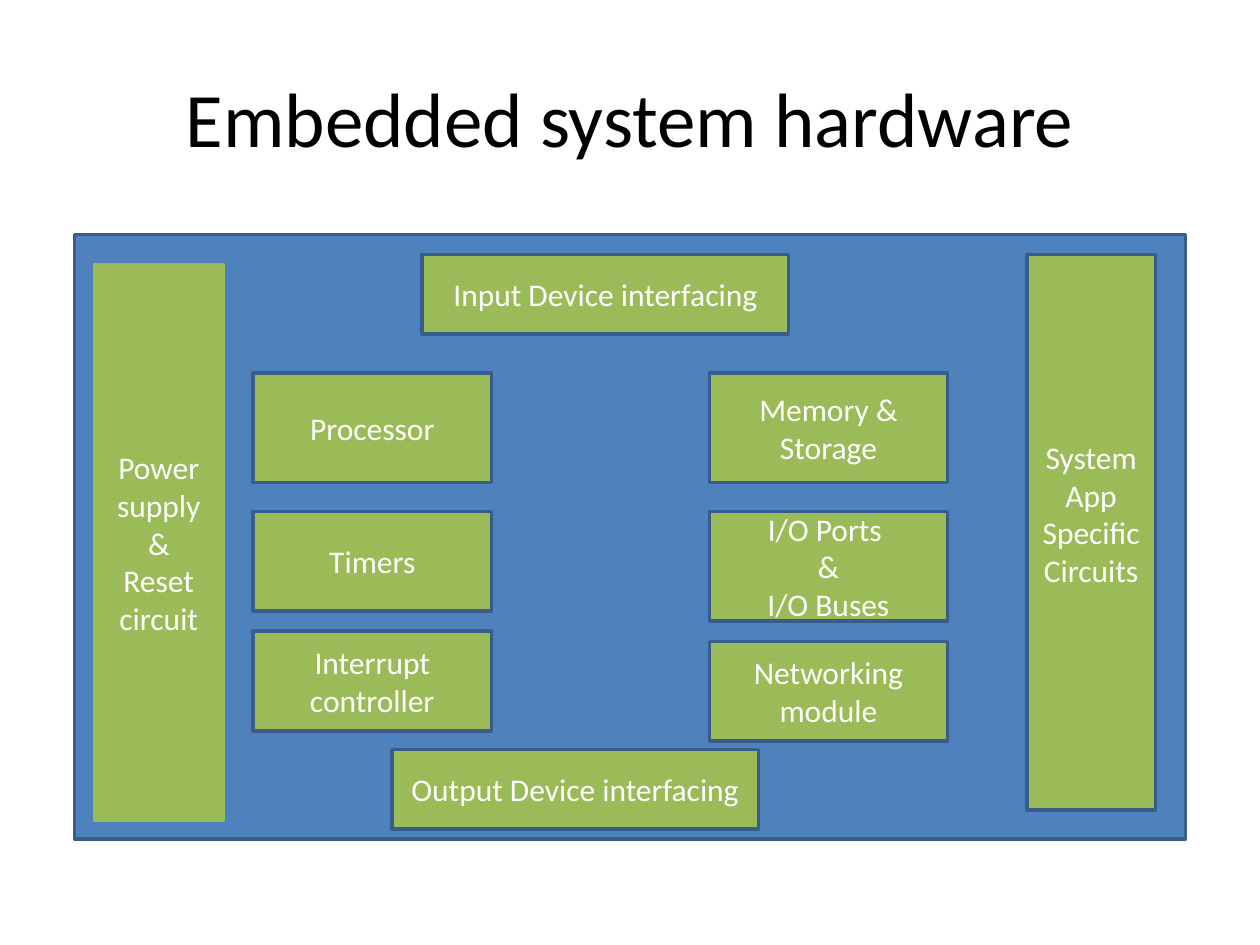
from pptx import Presentation
from pptx import util as u
from pptx.dml.color import RGBColor
from pptx.enum import shapes, text

BLUE, NAVY, GREEN = "4F81BD", "385D8A", "9BBB59"
WHITE, BLACK = "FFFFFF", "000000"


def color(value):
    return RGBColor.from_string(value)


class Diagram:
    """Style and current slide of the block diagram."""

    font_name = "Calibri"
    line_width = u.Pt(2)
    insets = {"margin_left": 0.1, "margin_top": 0.05,
              "margin_right": 0.1, "margin_bottom": 0.05}

    def __init__(self, deck):
        self.slide = deck.slides.add_slide(deck.slide_layouts[5])

    def label(self, shape, lines, size, ink, insets):
        frame = shape.text_frame
        values = {"word_wrap": True, "auto_size": text.MSO_AUTO_SIZE.NONE,
                  "vertical_anchor": text.MSO_ANCHOR.MIDDLE}
        values.update({side: u.Inches(gap) for side, gap in insets.items()})
        for name, value in values.items():
            setattr(frame, name, value)
        frame.text = "\n".join(lines)
        for para in frame.paragraphs:
            para.alignment = text.PP_ALIGN.CENTER
            for name, value in {"name": self.font_name, "size": u.Pt(size)}.items():
                setattr(para.font, name, value)
            para.font.color.rgb = color(ink)

    def title(self, caption, area):
        title = self.slide.shapes.title
        for name, value in zip(("left", "top", "width", "height"), area):
            setattr(title, name, u.Inches(value))
        self.label(title, [caption], 44, BLACK, self.insets)

    def box(self, area, lines=(), fill=GREEN, line=NAVY, **insets):
        box = self.slide.shapes.add_shape(
            shapes.MSO_SHAPE.RECTANGLE, *map(u.Inches, area))
        box.shadow.inherit = False
        box.fill.solid()
        box.fill.fore_color.rgb = color(fill)
        box.line.color.rgb = color(line)
        box.line.width = self.line_width
        if lines:
            self.label(box, lines, 18, WHITE, {**self.insets, **insets})


def main():
    deck = Presentation()
    deck.slide_width, deck.slide_height = u.Inches(10), u.Inches(7.5)
    diagram = Diagram(deck)
    diagram.title("Embedded system hardware", (0.5, 0.3, 9, 1.25))

    # Board
    diagram.box((0.59, 1.86, 8.82, 4.8), fill=BLUE)

    # Side columns; the right-hand text sits slightly above the middle
    diagram.box((0.75, 2.1, 1.02, 4.41), ["Power supply &", "Reset circuit"],
                line=GREEN)
    diagram.box((8.15, 2.02, 1.02, 4.41),
                ["System", "App", "Specific", "Circuits"], margin_bottom=0.35)

    # Core modules: left edge, then top, height and text of each
    modules = {
        2.01: [(2.96, 0.87, ["Processor"]),
               (4.06, 0.79, ["Timers"]),
               (5.01, 0.79, ["Interrupt controller"])],
        5.63: [(2.96, 0.87, ["Memory &", "Storage"]),
               (4.06, 0.87, ["I/O Ports ", "&", "I/O Buses"]),
               (5.09, 0.79, ["Networking module"])],
    }
    for left, column in modules.items():
        for top, height, lines in column:
            diagram.box((left, top, 1.89, height), lines)

    # Device interfaces
    for left, top, kind in [(3.35, 2.02, "Input"), (3.11, 5.95, "Output")]:
        diagram.box((left, top, 2.91, 0.63), [f"{kind} Device interfacing"])

    deck.save("out.pptx")


if __name__ == "__main__":
    main()
